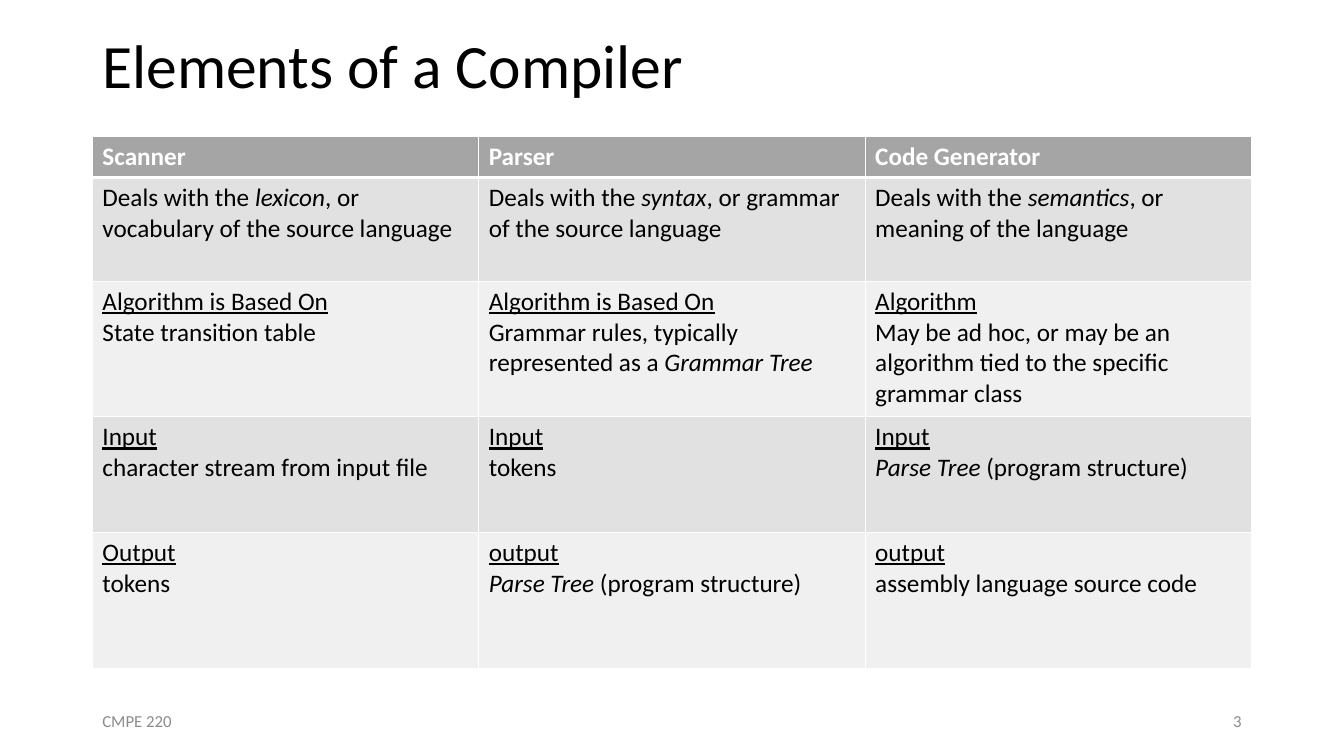
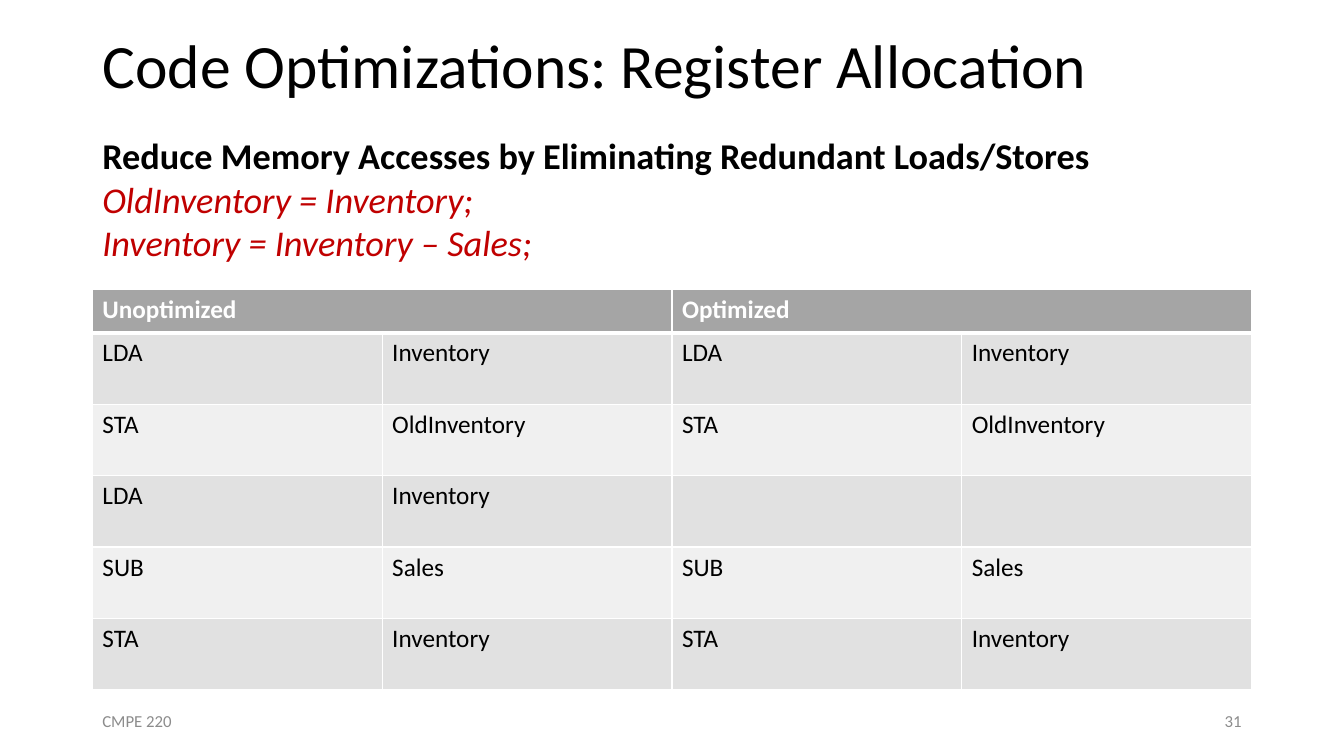
from dataclasses import dataclass

from lxml import etree
from pptx import Presentation, util as u
from pptx.dml.color import RGBColor
from pptx.enum import text as t
from pptx.oxml import ns


@dataclass(frozen=True)
class Theme:
    font: str = "Calibri"
    ink: str = "000000"
    white: str = "FFFFFF"
    accent: str = "C00000"
    muted: str = "8C8C8C"
    header: str = "A5A5A5"
    bands: tuple = ("E1E1E1", "F0F0F0")
    title_size: float = 44
    lead_size: float = 25.9
    table_size: float = 18
    footer_size: float = 12


THEME = Theme()
SLIDE_W, SLIDE_H = 1280, 720
MARGIN, CONTENT_W = 88, 1104
TITLE_H = 130
FOOTER_Y, FOOTER_W, FOOTER_H = 667, 288, 38


def px(length):
    return u.Emu(length * 9525)


def write(paragraph, line, size, color=THEME.ink, bold=False, italic=False,
          align=t.PP_ALIGN.LEFT, spacing=None, before=0):
    """Fill a paragraph; _..._ marks underlined and *...* italic words."""
    paragraph.alignment = align
    paragraph.space_before = u.Pt(before)
    if spacing:
        paragraph.line_spacing = spacing
    for under, part in enumerate(line.split("_")):
        for slant, words in enumerate(part.split("*")):
            if not words:
                continue
            run = paragraph.add_run()
            run.text = words
            font = run.font
            font.name, font.size, font.bold = THEME.font, u.Pt(size), bold
            font.italic = italic or slant % 2 == 1
            font.underline = under % 2 == 1
            font.color.rgb = RGBColor.from_string(color)


def add_box(slide, x, y, w, h, anchor=t.MSO_ANCHOR.MIDDLE):
    frame = slide.shapes.add_textbox(px(x), px(y), px(w), px(h)).text_frame
    frame.word_wrap = True
    frame.vertical_anchor = anchor
    return frame


# Title and footer shared by the slides
def add_slide(prs, heading, number):
    slide = prs.slides.add_slide(prs.slide_layouts[5])
    title = slide.shapes.title
    title.left, title.top = px(MARGIN), px(0)
    title.width, title.height = px(CONTENT_W), px(TITLE_H)
    title.text_frame.vertical_anchor = t.MSO_ANCHOR.MIDDLE
    write(title.text_frame.paragraphs[0], heading, THEME.title_size, spacing=0.9)

    right = MARGIN + CONTENT_W - FOOTER_W
    for x, label, align in ((MARGIN, "CMPE 220", t.PP_ALIGN.LEFT),
                            (right, str(number), t.PP_ALIGN.RIGHT)):
        frame = add_box(slide, x, FOOTER_Y, FOOTER_W, FOOTER_H)
        write(frame.paragraphs[0], label, THEME.footer_size, THEME.muted, align=align)
    return slide


# Banded table with white rules
def style_cell(cell, fill, below):
    props = cell._tc.get_or_add_tcPr()
    for side, width in (("L", 1), ("R", 1), ("T", 1), ("B", below)):
        rule = etree.SubElement(props, ns.qn(f"a:ln{side}"), w=str(u.Pt(width)))
        solid = etree.SubElement(rule, ns.qn("a:solidFill"))
        etree.SubElement(solid, ns.qn("a:srgbClr"), val=THEME.white)
    cell.fill.solid()
    cell.fill.fore_color.rgb = RGBColor.from_string(fill)


def add_banded_table(slide, x, y, w, row_heights, headers, body):
    columns = len(body[0])
    span = columns // len(headers)
    table = slide.shapes.add_table(len(row_heights), columns, px(x), px(y), px(w),
                                   px(sum(row_heights))).table
    for column in table.columns:
        column.width = px(w // columns)
    for row, height in zip(table.rows, row_heights):
        row.height = px(height)

    for column in range(columns):
        style_cell(table.cell(0, column), THEME.header, 3)
    for index, label in enumerate(headers):
        cell = table.cell(0, index * span)
        if span > 1:
            cell.merge(table.cell(0, (index + 1) * span - 1))
        write(cell.text_frame.paragraphs[0], label, THEME.table_size, THEME.white, bold=True)

    for r, entries in enumerate(body):
        for c, entry in enumerate(entries):
            cell = table.cell(r + 1, c)
            style_cell(cell, THEME.bands[r % 2], 1)
            for n, line in enumerate(entry.split("\n")):
                frame = cell.text_frame
                paragraph = frame.add_paragraph() if n else frame.paragraphs[0]
                write(paragraph, line, THEME.table_size)


# Goal and the statements to be compiled
def add_lead(slide, x, y, w, h, goal, statements):
    frame = add_box(slide, x, y, w, h, t.MSO_ANCHOR.TOP)
    frame.margin_top = px(8)
    write(frame.paragraphs[0], goal, THEME.lead_size, bold=True, spacing=0.7)
    for statement in statements:
        write(frame.add_paragraph(), statement, THEME.lead_size, THEME.accent,
              italic=True, spacing=0.7, before=9.5)


def build_elements(prs):
    slide = add_slide(prs, "Elements of a Compiler", 3)
    stages = ["Scanner", "Parser", "Code Generator"]
    features = [
        ["Deals with the *lexicon*, or vocabulary of the source language",
         "Deals with the *syntax*, or grammar of the source language",
         "Deals with the *semantics*, or meaning of the language"],
        ["_Algorithm is Based On_\nState transition table",
         "_Algorithm is Based On_\nGrammar rules, typically represented as a *Grammar Tree*",
         "_Algorithm_\nMay be ad hoc, or may be an algorithm tied to the specific grammar class"],
        ["_Input_\ncharacter stream from input file",
         "_Input_\ntokens",
         "_Input_\n*Parse Tree* (program structure)"],
        ["_Output_\ntokens",
         "_output_\n*Parse Tree* (program structure)",
         "_output_\nassembly language source code"],
    ]
    add_banded_table(slide, MARGIN, TITLE_H, CONTENT_W, [39, 99, 129, 110, 130],
                     stages, features)


def build_registers(prs):
    slide = add_slide(prs, "Code Optimizations: Register Allocation", 31)
    add_lead(slide, MARGIN, TITLE_H, CONTENT_W, 133,
             "Reduce Memory Accesses by Eliminating Redundant Loads/Stores",
             ["OldInventory = Inventory;", "Inventory = Inventory – Sales;"])
    unoptimized = [["LDA", "Inventory"], ["STA", "OldInventory"], ["LDA", "Inventory"],
                   ["SUB", "Sales"], ["STA", "Inventory"]]
    redundant = 2
    listing = [step + (["", ""] if n == redundant else step)
               for n, step in enumerate(unoptimized)]
    add_banded_table(slide, MARGIN, 276, CONTENT_W, [41] + [68] * len(listing),
                     ["Unoptimized", "Optimized"], listing)


def main():
    prs = Presentation()
    prs.slide_width, prs.slide_height = px(SLIDE_W), px(SLIDE_H)
    build_elements(prs)
    build_registers(prs)
    prs.save("out.pptx")


if __name__ == "__main__":
    main()
